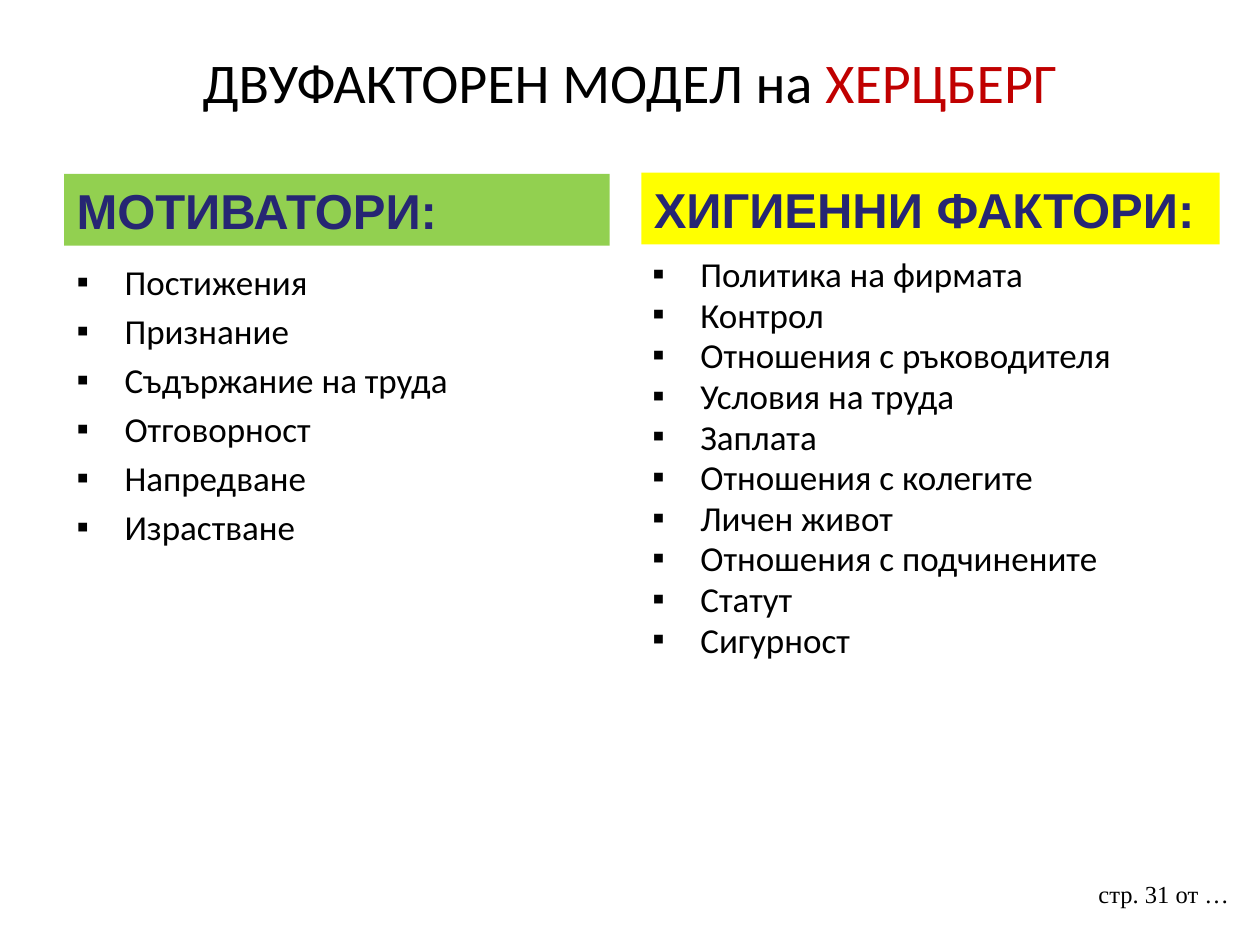
from pptx import Presentation
from pptx.dml.color import RGBColor
from pptx.enum.shapes import MSO_SHAPE
from pptx.enum.text import PP_ALIGN
from pptx.util import Inches, Pt
from lxml import etree

BLACK = RGBColor(0x00, 0x00, 0x00)
RED = RGBColor(0xC0, 0x00, 0x00)
NAVY = RGBColor(0x26, 0x26, 0x73)
GREEN = RGBColor(0x92, 0xD0, 0x50)
YELLOW = RGBColor(0xFF, 0xFF, 0x00)
NS = "{http://schemas.openxmlformats.org/drawingml/2006/main}"

MOTIVES = ["Постижения", "Признание", "Съдържание на труда",
           "Отговорност", "Напредване", "Израстване"]
HYGIENE = ["Политика на фирмата", "Контрол", "Отношения с ръководителя",
           "Условия на труда", "Заплата", "Отношения с колегите",
           "Личен живот", "Отношения с подчинените", "Статут", "Сигурност"]

prs = Presentation()
prs.slide_width, prs.slide_height = Inches(10), Inches(7.5)
slide = prs.slides.add_slide(prs.slide_layouts[6])


def add_box(left, top, width, height):
    box = slide.shapes.add_textbox(Inches(left), Inches(top),
                                   Inches(width), Inches(height))
    box.text_frame.word_wrap = True
    return box.text_frame


def style(run, font, size, color, bold=False):
    run.font.name, run.font.size = font, Pt(size)
    run.font.color.rgb, run.font.bold = color, bold


# Page number
frame = add_box(8.62, 6.93, 1.3, 0.52)
frame.text = "стр. 31 от …"
style(frame.paragraphs[0].runs[0], "Times New Roman", 14, BLACK)

# Title in two colours
frame = add_box(0.5, 0.3, 9, 0.77)
frame.margin_top = Inches(0.08)
para = frame.paragraphs[0]
para.alignment = PP_ALIGN.CENTER
for text, color in [("ДВУФАКТОРЕН МОДЕЛ на ", BLACK), ("ХЕРЦБЕРГ", RED)]:
    run = para.add_run()
    run.text = text
    style(run, "Calibri", 32, color)

# Bulleted lists
for left, items, spacing in [(0.51, MOTIVES, 1.0), (5.08, HYGIENE, 0.8)]:
    frame = add_box(left, 2.02, 4.42, 3.7)
    frame.text = "\n".join(items)
    for num, para in enumerate(frame.paragraphs):
        para.line_spacing = spacing
        para.space_before = Pt(4 if num else 0)
        props = para._p.get_or_add_pPr()
        props.set("marL", str(Inches(0.38)))
        props.set("indent", str(-Inches(0.38)))
        etree.SubElement(props, NS + "buFont", typeface="Arial")
        etree.SubElement(props, NS + "buChar", char="▪")
        style(para.runs[0], "Calibri", 20, BLACK)

# Column headings
for left, top, width, fill, text in [
        (0.51, 1.38, 4.33, GREEN, "МОТИВАТОРИ:"),
        (5.09, 1.37, 4.59, YELLOW, "ХИГИЕННИ ФАКТОРИ:")]:
    head = slide.shapes.add_shape(MSO_SHAPE.RECTANGLE, Inches(left),
                                  Inches(top), Inches(width), Inches(0.57))
    head.shadow.inherit = False
    head.fill.solid()
    head.fill.fore_color.rgb = fill
    head.line.fill.background()
    head.text_frame.text = text
    para = head.text_frame.paragraphs[0]
    para.alignment = PP_ALIGN.LEFT
    style(para.runs[0], "Arial", 28, NAVY, True)

prs.save("out.pptx")
